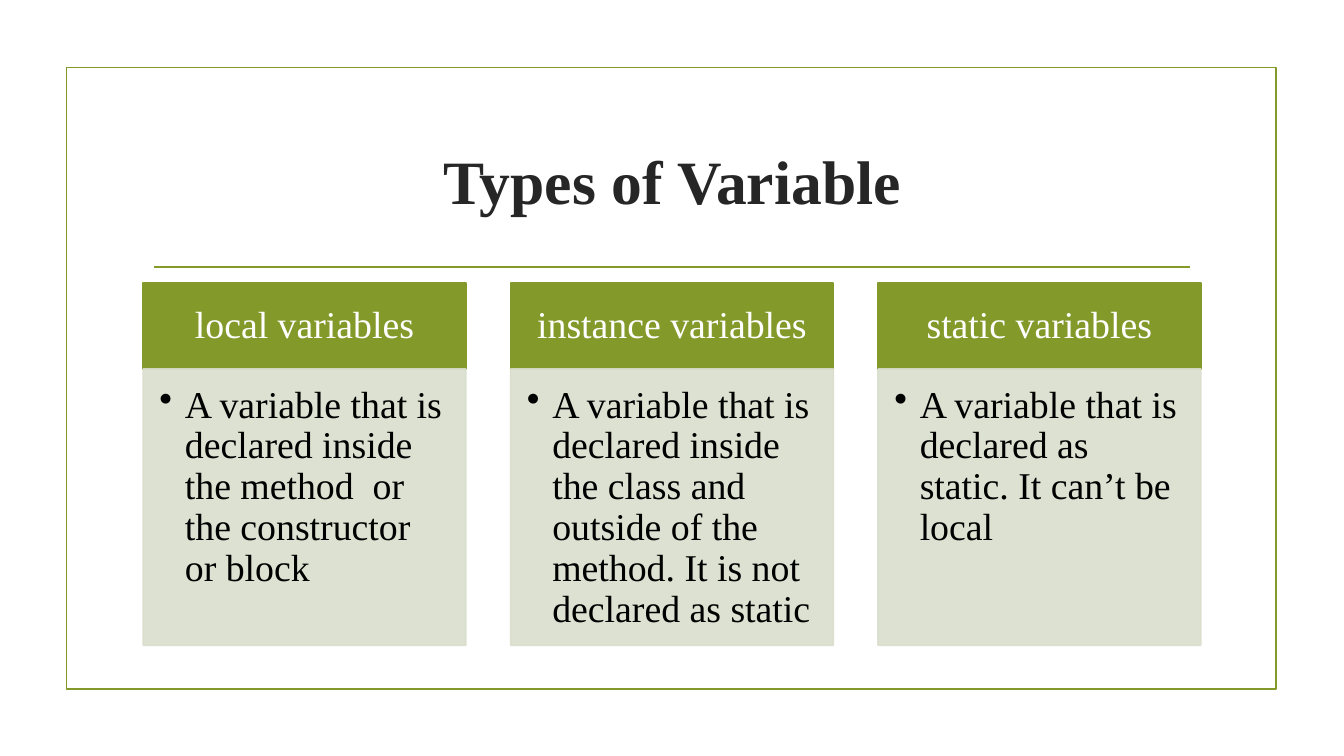
from dataclasses import dataclass

from lxml.etree import SubElement
from pptx import Presentation
from pptx.dml.color import RGBColor
from pptx.enum.shapes import MSO_CONNECTOR, MSO_SHAPE
from pptx.enum.text import MSO_ANCHOR, PP_ALIGN
from pptx.oxml.ns import qn
from pptx.shapes.autoshape import Shape
from pptx.slide import Slide
from pptx.util import Cm, Pt

COLORS = {
    "green": "83992A",
    "pale": "D9DECD",
    "title": "262626",
    "white": "FFFFFF",
    "black": "000000",
}
FONT = "Times New Roman"
LINE_WIDTH = Pt(1.25)

# Column grid, in centimetres
COLUMN_LEFT, COLUMN_PITCH, COLUMN_WIDTH = 3.61, 9.26, 8.13
HEADER_TOP, HEADER_HEIGHT, BODY_HEIGHT = 7.14, 2.16, 6.96


@dataclass
class VariableType:
    name: str
    description: str


VARIABLE_TYPES = [
    VariableType(
        "local variables",
        "A variable that is declared inside the method  or the constructor or block",
    ),
    VariableType(
        "instance variables",
        "A variable that is declared inside the class and outside of the method. "
        "It is not declared as static",
    ),
    VariableType(
        "static variables",
        "A variable that is declared as static. It can’t be local",
    ),
]


def color(name: str) -> RGBColor:
    return RGBColor.from_string(COLORS[name])


def add_rectangle(slide: Slide, left: float, top: float, width: float, height: float,
                  line: str, fill: str | None = None, opacity: int = 100) -> Shape:
    shape = slide.shapes.add_shape(
        MSO_SHAPE.RECTANGLE, Cm(left), Cm(top), Cm(width), Cm(height))
    shape.shadow.inherit = False
    shape.line.color.rgb = color(line)
    shape.line.width = LINE_WIDTH
    if fill is None:
        shape.fill.background()
    else:
        shape.fill.solid()
        shape.fill.fore_color.rgb = color(fill)
    if opacity < 100:
        for element in shape.element.spPr.iter(qn("a:srgbClr")):
            SubElement(element, qn("a:alpha"), val=str(opacity * 1000))
    return shape


def write_text(shape: Shape, text: str, *, size: float, ink: str, bold: bool = False,
               align: PP_ALIGN = PP_ALIGN.CENTER, anchor: MSO_ANCHOR = MSO_ANCHOR.MIDDLE,
               margins: tuple[float, float, float, float] = (0.25, 0.13, 0.25, 0.13),
               spacing: float = 1.0, bullet_indent: float = 0) -> None:
    frame = shape.text_frame
    frame.word_wrap = True
    frame.vertical_anchor = anchor
    (frame.margin_left, frame.margin_top,
     frame.margin_right, frame.margin_bottom) = map(Cm, margins)
    paragraph = frame.paragraphs[0]
    paragraph.text = text
    paragraph.alignment = align
    paragraph.line_spacing = spacing
    if bullet_indent:
        properties = paragraph._p.get_or_add_pPr()
        properties.set("marL", str(Cm(bullet_indent)))
        properties.set("indent", str(-Cm(bullet_indent)))
        SubElement(properties, qn("a:buChar"), char="•")
    font = paragraph.runs[0].font
    font.name = FONT
    font.size = Pt(size)
    font.bold = bold
    font.color.rgb = color(ink)


def add_rule(slide: Slide, left: float, right: float, top: float) -> None:
    rule = slide.shapes.add_connector(
        MSO_CONNECTOR.STRAIGHT, Cm(left), Cm(top), Cm(right), Cm(top))
    rule.line.color.rgb = color("green")
    rule.line.width = LINE_WIDTH
    SubElement(rule.element.spPr, qn("a:effectLst"))


def add_column(slide: Slide, left: float, variable_type: VariableType) -> None:
    header = add_rectangle(slide, left, HEADER_TOP, COLUMN_WIDTH, HEADER_HEIGHT,
                           line="green", fill="green")
    write_text(header, variable_type.name, size=27, ink="white",
               margins=(0.53, 0.3, 0.53, 0.3), spacing=0.9)
    body = add_rectangle(slide, left, HEADER_TOP + HEADER_HEIGHT, COLUMN_WIDTH, BODY_HEIGHT,
                         line="pale", fill="pale", opacity=90)
    write_text(body, variable_type.description, size=27, ink="black",
               align=PP_ALIGN.LEFT, anchor=MSO_ANCHOR.TOP,
               margins=(0.41, 0.41, 0.53, 0.61), spacing=0.9, bullet_indent=0.64)


def main() -> None:
    presentation = Presentation()
    presentation.slide_width, presentation.slide_height = Cm(33.87), Cm(19.05)
    slide = presentation.slides.add_slide(presentation.slide_layouts[6])

    # Frame and rule under the title
    add_rectangle(slide, 1.68, 1.7, 30.48, 15.67, line="green")
    add_rule(slide, 3.89, 30, 6.73)

    # Title
    title = slide.shapes.add_textbox(Cm(3.61), Cm(2.72), Cm(26.67), Cm(3.63))
    write_text(title, "Types of Variable", size=44, ink="title", bold=True)

    # One column for each type of variable
    for index, variable_type in enumerate(VARIABLE_TYPES):
        add_column(slide, COLUMN_LEFT + index * COLUMN_PITCH, variable_type)

    presentation.save("out.pptx")


if __name__ == "__main__":
    main()
